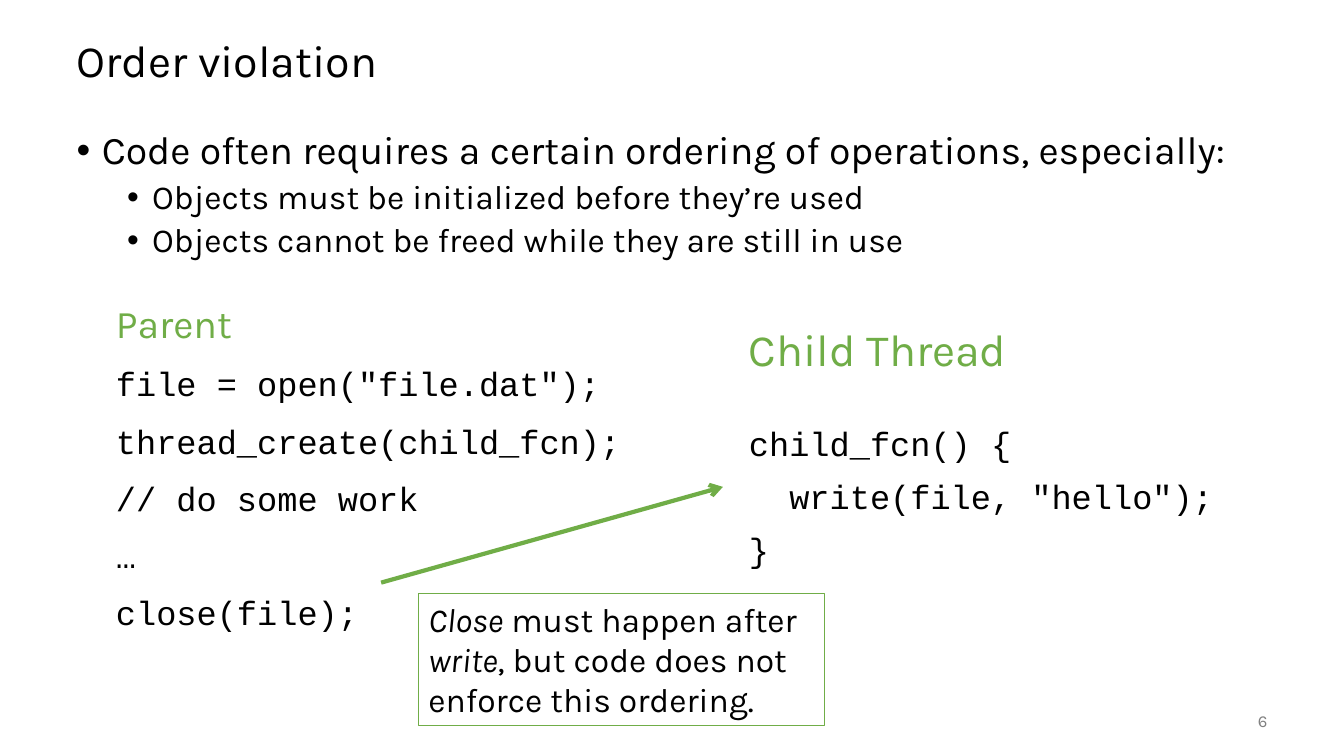
from dataclasses import dataclass

from lxml.etree import SubElement
from pptx import Presentation
from pptx.dml.color import RGBColor
from pptx.enum.shapes import MSO_CONNECTOR, MSO_SHAPE
from pptx.enum.text import MSO_ANCHOR, MSO_AUTO_SIZE, PP_ALIGN
from pptx.oxml.ns import qn
from pptx.util import Emu, Pt

PX_PER_INCH = 100


@dataclass(frozen=True)
class Theme:
    text: str = "000000"
    accent: str = "70AD47"
    muted: str = "808080"
    paper: str = "FFFFFF"
    prose: str = "Karla"
    code: str = "Courier New"
    heading_size: int = 32
    point_size: int = 28
    text_size: int = 24
    number_size: int = 12


THEME = Theme()


def px(length):
    return Emu(length * 914400 // PX_PER_INCH)


def place(shape, box):
    for side, length in zip(("left", "top", "width", "height"), box):
        setattr(shape, side, px(length))


def set_frame(frame, anchor=MSO_ANCHOR.TOP):
    settings = {"word_wrap": True, "auto_size": MSO_AUTO_SIZE.NONE, "vertical_anchor": anchor}
    for name, value in settings.items():
        setattr(frame, name, value)


def set_bullet(paragraph, indent, bullet):
    properties = paragraph._p.get_or_add_pPr()
    hanging = px(25) if bullet else 0
    properties.set("marL", str(px(indent)))
    properties.set("indent", str(-hanging))
    if bullet:
        SubElement(properties, qn("a:buFont")).set("typeface", "Arial")
        SubElement(properties, qn("a:buChar")).set("char", bullet)
    else:
        SubElement(properties, qn("a:buNone"))


def add_run(paragraph, text, size, color=THEME.text, font=THEME.prose, italic=False):
    run = paragraph.add_run()
    run.text = text
    run.font.color.rgb = RGBColor.from_string(color)
    for name, value in {"name": font, "size": Pt(size), "italic": italic}.items():
        setattr(run.font, name, value)


def add_line(frame, text, size, color=THEME.text, font=THEME.prose, before=0,
             level=0, indent=0, bullet=None):
    first = not frame.paragraphs[0].runs
    paragraph = frame.paragraphs[0] if first else frame.add_paragraph()
    set_bullet(paragraph, indent, bullet)
    settings = {"level": level, "alignment": PP_ALIGN.LEFT, "line_spacing": 0.9,
                "space_before": Pt(before), "space_after": Pt(0)}
    for name, value in settings.items():
        setattr(paragraph, name, value)
    add_run(paragraph, text, size, color, font)


def fill_title(title, box, text):
    place(title, box)
    set_frame(title.text_frame, MSO_ANCHOR.MIDDLE)
    add_line(title.text_frame, text, THEME.heading_size)


def fill_points(body, box, point, details):
    place(body, box)
    frame = body.text_frame
    set_frame(frame)
    add_line(frame, point, THEME.point_size, indent=25, bullet="•")
    for detail in details:
        add_line(frame, detail, THEME.text_size, before=5, level=1, indent=75, bullet="•")


def fill_listing(holder, box, heading, heading_size, code, gap, first_gap):
    place(holder, box)
    frame = holder.text_frame
    set_frame(frame)
    add_line(frame, heading, heading_size, THEME.accent)
    for number, line in enumerate(code):
        add_line(frame, line, THEME.text_size, font=THEME.code,
                 before=gap if number else first_gap)


def add_arrow(slide, start, end):
    arrow = slide.shapes.add_connector(MSO_CONNECTOR.STRAIGHT, *map(px, start + end))
    arrow.line.color.rgb = RGBColor.from_string(THEME.accent)
    arrow.line.width = Pt(3)
    SubElement(arrow.line._get_or_add_ln(), qn("a:tailEnd")).set("type", "arrow")
    SubElement(arrow._element.spPr, qn("a:effectLst"))


def add_remark(slide, box, pieces):
    remark = slide.shapes.add_shape(MSO_SHAPE.RECTANGLE, *map(px, box))
    remark.shadow.inherit = False
    remark.fill.solid()
    remark.fill.fore_color.rgb = RGBColor.from_string(THEME.paper)
    remark.line.color.rgb = RGBColor.from_string(THEME.accent)
    remark.line.width = Pt(0.75)
    set_frame(remark.text_frame)
    paragraph = remark.text_frame.paragraphs[0]
    paragraph.alignment = PP_ALIGN.LEFT
    for text, italic in pieces:
        add_run(paragraph, text, THEME.text_size, italic=italic)


def add_page_number(slide, box, number):
    frame = slide.shapes.add_textbox(*map(px, box)).text_frame
    set_frame(frame, MSO_ANCHOR.MIDDLE)
    paragraph = frame.paragraphs[0]
    paragraph.alignment = PP_ALIGN.RIGHT
    add_run(paragraph, number, THEME.number_size, THEME.muted)


def build_order_violation(presentation):
    slide = presentation.slides.add_slide(presentation.slide_layouts.get_by_name("Two Content"))
    title, points, parent = slide.placeholders
    fill_title(title, (66, 25, 1200, 75), "Order violation")
    fill_points(points, (66, 125, 1200, 550),
                "Code often requires a certain ordering of operations, especially:",
                ["Objects must be initialized before they’re used",
                 "Objects cannot be freed while they are still in use"])
    fill_listing(parent, (105, 297, 584, 405), "Parent", THEME.point_size,
                 ['file = open("file.dat");', "thread_create(child_fcn);",
                  "// do some work", "…", "close(file);"], gap=15, first_gap=15)
    child_box = (733, 320, 488, 290)
    child = slide.shapes.add_textbox(*map(px, child_box))
    fill_listing(child, child_box, "Child Thread", THEME.heading_size,
                 ["child_fcn() {", '  write(file, "hello");', "}"], gap=12, first_gap=37)
    add_arrow(slide, (378, 578), (717, 483))
    add_remark(slide, (415, 589, 403, 131),
               [("Close", True), (" must happen after ", False), ("write", True),
                (", but code does not enforce this ordering.", False)])
    add_page_number(slide, (1167, 695, 100, 40), "6")


def main():
    presentation = Presentation()
    presentation.slide_width = px(1333)
    presentation.slide_height = px(750)
    build_order_violation(presentation)
    presentation.save("out.pptx")


if __name__ == "__main__":
    main()
